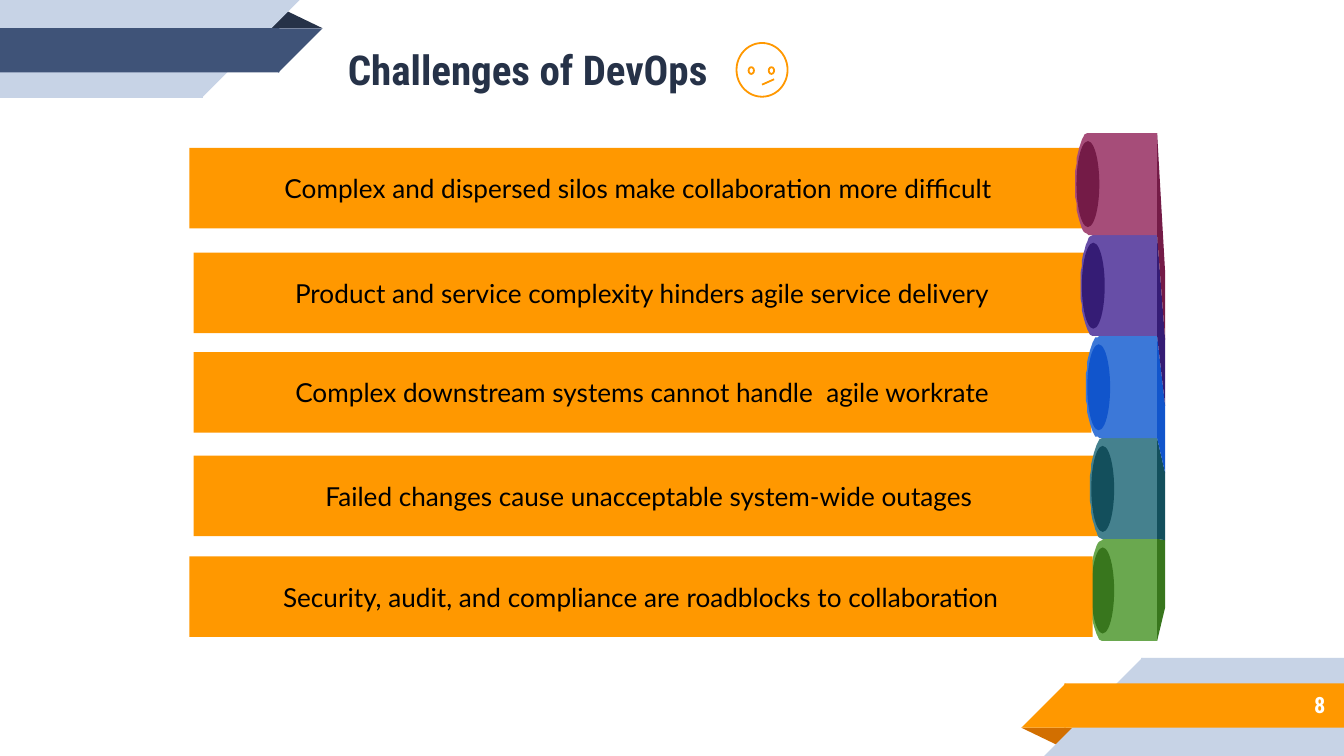
import collections
import math

import lxml.etree
import pptx
import pptx.dml.color
import pptx.enum.shapes
import pptx.enum.text
import pptx.oxml.ns
import pptx.util

SCALE = 9144  # EMU in one px, 100 px to the inch
PAGE_WIDTH = 1000
PAGE_HEIGHT = PAGE_WIDTH * 9 / 16
SHAPE = pptx.enum.shapes.MSO_SHAPE
ALIGN = pptx.enum.text.PP_ALIGN
MIDDLE = pptx.enum.text.MSO_ANCHOR.MIDDLE

Box = collections.namedtuple("Box", "left top width height")


class Theme:
    navy, slate, pale = "263248", "3F5378", "C7D3E6"
    orange, rust = "FF9800", "D26F00"
    white, black = "FFFFFF", "000000"
    outline = 0.96
    title = {"size": 22, "name": "Roboto Condensed", "bold": True, "color": navy}
    body = {"size": 14, "name": "Lato", "bold": False, "color": black}
    number = {"size": 12, "name": "Roboto Condensed", "bold": True, "color": white}


# wording, bar box
BARS = [
    ("Complex and dispersed silos make collaboration more difficult",
     Box(141, 110, 668, 60)),
    ("Product and service complexity hinders agile service delivery",
     Box(144, 188, 668, 60)),
    ("Complex downstream systems cannot handle  agile workrate",
     Box(144, 262, 668, 60)),
    ("Failed changes cause unacceptable system-wide outages",
     Box(144, 339, 678, 60)),
    ("Security, audit, and compliance are roadblocks to collaboration",
     Box(141, 414, 672, 60)),
]

# left inset, front colour, shade colour
BARRELS = [
    (0, "A64D79", "741B47"),
    (4, "674EA7", "351C75"),
    (8, "3C78D8", "1155CC"),
    (11, "45818E", "134F5C"),
    (11, "6AA84F", "38761D"),
]


def emu(lengths):
    return [round(length * SCALE) for length in lengths]


def rgb(code):
    return pptx.dml.color.RGBColor.from_string(code)


def paint(shape, fill=None, line=None):
    shape.shadow.inherit = False
    if fill:
        shape.fill.solid()
        shape.fill.fore_color.rgb = rgb(fill)
    else:
        shape.fill.background()
    if line:
        shape.line.color.rgb = rgb(line)
        shape.line.width = pptx.util.Pt(Theme.outline)
    else:
        shape.line.fill.background()


def add_preset(page, kind, box, fill=None, line=None):
    shape = page.shapes.add_shape(kind, *emu(box))
    paint(shape, fill, line)
    return shape


def add_polygon(page, points, fill):
    builder = page.shapes.build_freeform(*points[0], scale=SCALE)
    builder.add_line_segments(points[1:], close=True)
    paint(builder.convert_to_shape(), fill)


def write(shape, text, style, align):
    frame = shape.text_frame
    inset = pptx.util.Inches(0.1)
    layout = {"word_wrap": True, "vertical_anchor": MIDDLE,
              "margin_left": inset, "margin_right": inset,
              "margin_top": inset, "margin_bottom": inset}
    for name, value in layout.items():
        setattr(frame, name, value)
    para = frame.paragraphs[0]
    para.alignment = align
    span = para.add_run()
    span.text = text
    font = {"size": pptx.util.Pt(style["size"]), "name": style["name"],
            "bold": style["bold"]}
    for name, value in font.items():
        setattr(span.font, name, value)
    span.font.color.rgb = rgb(style["color"])


def add_text(page, box, text, style, align):
    write(page.shapes.add_textbox(*emu(box)), text, style, align)


def add_ribbon(page, box, stripe, fold, turned):
    """Folded corner ribbon; turned gives it a half turn within its box."""
    pieces = [
        (SHAPE.ISOSCELES_TRIANGLE, Box(197, 7, 43, 14), fold),
        (SHAPE.RECTANGLE, Box(0, 0, 151, 73), Theme.pale),
        (SHAPE.RIGHT_TRIANGLE, Box(150, 0, 73, 73), Theme.pale),
        (SHAPE.RECTANGLE, Box(0, 21, 208, 33), stripe),
        (SHAPE.RIGHT_TRIANGLE, Box(207, 21, 33, 33), stripe),
    ]
    for kind, part, color in pieces:
        left, top = part.left, part.top
        if turned:
            left = box.width - left - part.width
            top = box.height - top - part.height
        place = Box(box.left + left, box.top + top, part.width, part.height)
        shape = add_preset(page, kind, place, color)
        if kind == SHAPE.ISOSCELES_TRIANGLE:
            shape.adjustments[0] = 0.324
            shape.rotation = 180 if turned else 0
        elif kind == SHAPE.RIGHT_TRIANGLE:
            shape.rotation = 0 if turned else 180
            shape._element.spPr.xfrm.set("flipH", "1")


def add_bar(page, box, text):
    bar = add_preset(page, SHAPE.RECTANGLE, box, Theme.orange)
    write(bar, text, Theme.body, ALIGN.CENTER)


def add_barrel(page, box, front, shade):
    """Block with a rounded left end and a dark oval mouth."""
    bulge, steps = 10, 24
    right, bottom = box.left + box.width, box.top + box.height
    points = [(right, box.top), (right, bottom)]
    for step in range(steps + 1):
        angle = math.pi * step / steps
        points.append((box.left + bulge * (1 - math.sin(angle)),
                       box.top + box.height * (1 + math.cos(angle)) / 2))
    add_polygon(page, points, front)
    mouth = Box(box.left + 1, box.top + 6, 17, 64)
    add_preset(page, SHAPE.OVAL, mouth, shade)


def add_barrel_stack(page, box):
    """Stacked barrels with side faces that narrow towards the right edge."""
    side = 6
    count = len(BARRELS)
    face = box.left + box.width - side
    inner = [box.top + box.height * row / count for row in range(count + 1)]
    outer = [box.top + 104 + 49.7 * row for row in range(count + 1)]
    rows = list(enumerate(BARRELS))[::-1]
    for row, (inset, front, shade) in rows:
        left = box.left + inset
        place = Box(left, inner[row], face - left, inner[row + 1] - inner[row])
        add_barrel(page, place, front, shade)
    for row, (inset, front, shade) in rows:
        add_polygon(page, [(face + side, outer[row]), (face + side, outer[row + 1]),
                           (face, inner[row + 1]), (face, inner[row])], shade)


def add_doubtful_face(page, box):
    eyes = [Box(box.left + offset, box.top + 18, 4, 5) for offset in (9, 24)]
    for oval in [box, *eyes]:
        add_preset(page, SHAPE.OVAL, oval, line=Theme.orange)
    ends = emu([box.left + 19, box.top + 31, box.left + 28, box.top + 27])
    mouth = page.shapes.add_connector(pptx.enum.shapes.MSO_CONNECTOR.STRAIGHT, *ends)
    mouth.line.color.rgb = rgb(Theme.orange)
    mouth.line.width = pptx.util.Pt(Theme.outline)
    lxml.etree.SubElement(mouth._element.spPr, pptx.oxml.ns.qn("a:effectLst"))


def build_challenges_page(deck):
    page = deck.slides.add_slide(deck.slide_layouts[6])
    add_ribbon(page, Box(0, 0, 240, 73), Theme.slate, Theme.navy, turned=False)
    add_ribbon(page, Box(PAGE_WIDTH - 240, PAGE_HEIGHT - 73, 240, 73),
               Theme.orange, Theme.rust, turned=True)
    add_text(page, Box(833, 507, 163, 35), "8", Theme.number, ALIGN.RIGHT)
    add_text(page, Box(249, 18, 299, 67), "Challenges of DevOps",
             Theme.title, ALIGN.LEFT)
    *behind, (last_text, last_box) = BARS
    for text, box in behind:
        add_bar(page, box, text)
    add_barrel_stack(page, Box(800, 99, 67, 378))
    add_bar(page, last_box, last_text)  # lies over the lowest barrel
    add_doubtful_face(page, Box(548, 32, 38, 40))


def main():
    deck = pptx.Presentation()
    deck.slide_width, deck.slide_height = emu([PAGE_WIDTH, PAGE_HEIGHT])
    build_challenges_page(deck)
    deck.save("out.pptx")


if __name__ == "__main__":
    main()
